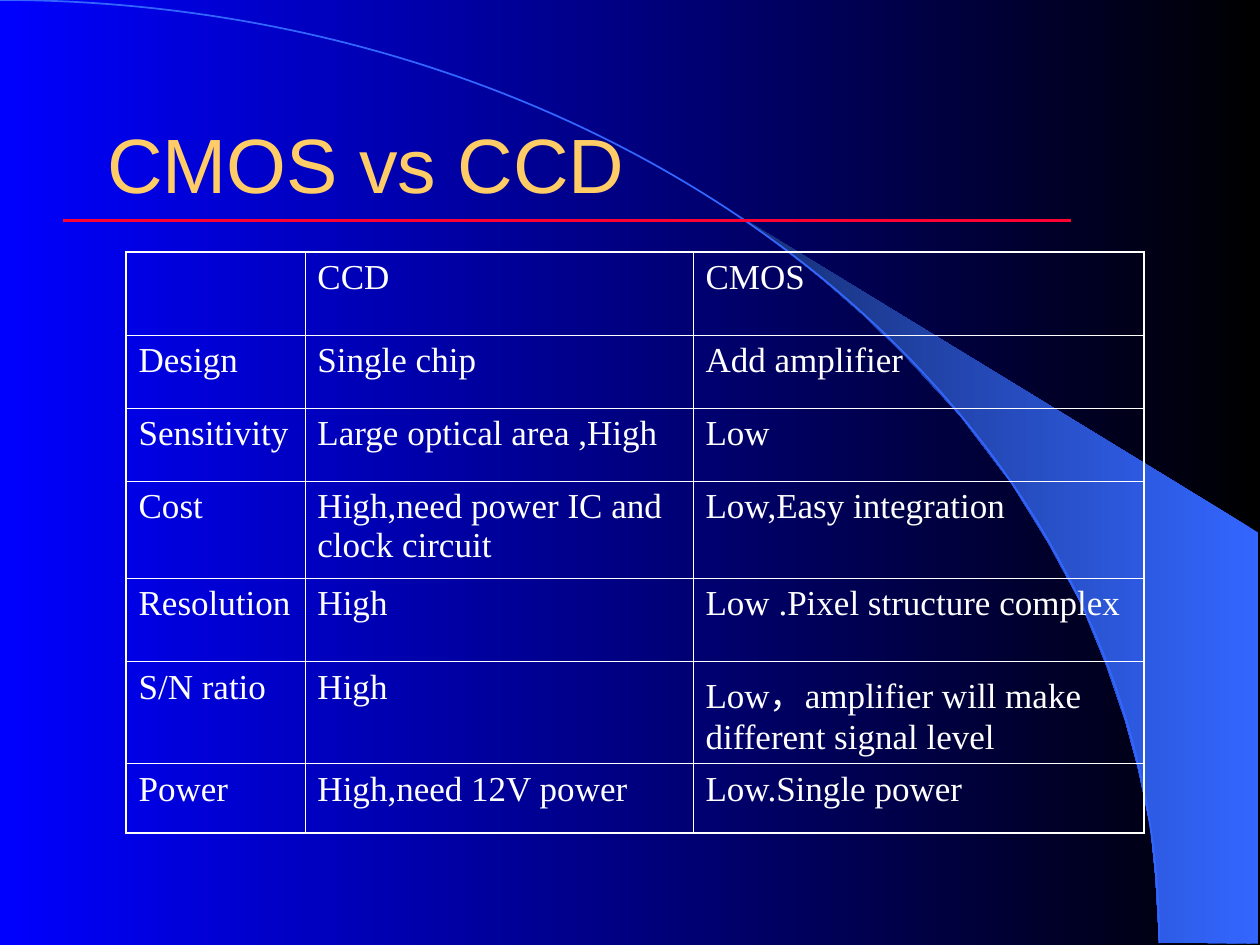
from dataclasses import dataclass

from lxml import etree
from pptx import Presentation
from pptx.dml.color import RGBColor
from pptx.enum import shapes, text
from pptx.oxml import ns
from pptx.util import Inches, Pt


@dataclass(frozen=True)
class Theme:
    title: str = "FFCC66"
    body: str = "FFFFFF"
    rule: str = "FF0033"
    arc: str = "3366FF"
    band_dark: str = "172F75"
    page_dark: str = "000000"
    page_light: str = "0000FF"
    title_size: int = 44
    body_size: int = 20
    title_font: str = "Arial"
    body_font: str = "Times New Roman"
    comma_font: str = "Noto Sans CJK SC"
    outer_line: float = 1.08
    inner_line: float = 0.45


theme = Theme()


def fill_gradient(fill, *colours):
    """Run a linear gradient from the right edge to the left."""
    fill.gradient()
    fill.gradient_angle = 180
    for stop, colour in zip(fill.gradient_stops, colours):
        stop.color.rgb = RGBColor.from_string(colour)


def add_border(cell, side, width):
    """Add one cell border; sides must come in the order L, R, T, B."""
    properties = cell._tc.get_or_add_tcPr()
    line = etree.SubElement(properties, ns.qn(f"a:ln{side}"), w=str(Pt(width)))
    solid = etree.SubElement(line, ns.qn("a:solidFill"))
    etree.SubElement(solid, ns.qn("a:srgbClr"), val=theme.body)


deck = Presentation()
deck.slide_width, deck.slide_height = Inches(10), Inches(7.5)
page = deck.slides.add_slide(deck.slide_layouts[5])
fill_gradient(page.background.fill, theme.page_dark, theme.page_light)

# Light band between the arc and its tangent
band_points = [
    (9.2, 7.48), (9.99, 7.49), (9.99, 4.23), (5.89, 1.73), (6.24, 1.99),
    (6.53, 2.22), (6.85, 2.5), (7.16, 2.8), (7.62, 3.3), (8.03, 3.84),
    (8.32, 4.31), (8.58, 4.79), (8.78, 5.28), (8.93, 5.72), (9.03, 6.09),
    (9.13, 6.56), (9.17, 6.96),
]
corners = [(Inches(x), Inches(y)) for x, y in band_points]
builder = page.shapes.build_freeform(*corners[0])
builder.add_line_segments(corners[1:], close=True)
band = builder.convert_to_shape()
band.shadow.inherit = False
band.line.fill.background()
fill_gradient(band.fill, theme.arc, theme.band_dark)

arc = page.shapes.add_shape(
    shapes.MSO_SHAPE.ARC, Inches(-9.2), Inches(0), Inches(18.4), Inches(14.97))
arc.shadow.inherit = False
arc.fill.background()
arc.line.color.rgb = RGBColor.from_string(theme.arc)
arc.line.width = Pt(1)

# Title and rule
title = page.shapes.title
title.left, title.top = Inches(0.75), Inches(0.67)
title.width, title.height = Inches(8.5), Inches(1.25)
title.text_frame.text = "CMOS vs CCD"
title.text_frame.vertical_anchor = text.MSO_ANCHOR.MIDDLE
para = title.text_frame.paragraphs[0]
para.alignment = text.PP_ALIGN.LEFT
para.font.name = theme.title_font
para.font.size = Pt(theme.title_size)
para.font.color.rgb = RGBColor.from_string(theme.title)

rule = page.shapes.add_connector(
    shapes.MSO_CONNECTOR.STRAIGHT,
    Inches(0.5), Inches(1.75), Inches(8.5), Inches(1.75))
rule.line.color.rgb = RGBColor.from_string(theme.rule)
rule.line.width = Pt(2.25)
etree.SubElement(rule._element.spPr, ns.qn("a:effectLst"))

# Comparison table
comparison = [
    ("", "CCD", "CMOS"),
    ("Design", "Single chip", "Add amplifier"),
    ("Sensitivity", "Large optical area ,High", "Low"),
    ("Cost", "High,need power IC and clock circuit", "Low,Easy integration"),
    ("Resolution", "High", "Low .Pixel structure complex"),
    ("S/N ratio", "High", "Low，amplifier will make different signal level"),
    ("Power", "High,need 12V power", "Low.Single power"),
]
column_widths = [1.42, 3.08, 3.58]
row_heights = [0.66, 0.58, 0.58, 0.77, 0.66, 0.77, 0.55]
last_row, last_column = len(row_heights) - 1, len(column_widths) - 1

table = page.shapes.add_table(
    len(row_heights), len(column_widths), Inches(1), Inches(2),
    Inches(sum(column_widths)), Inches(sum(row_heights))).table
table.first_row = table.horz_banding = False
for column, width in zip(table.columns, column_widths):
    column.width = Inches(width)
for row, height in zip(table.rows, row_heights):
    row.height = Inches(height)

for r, entries in enumerate(comparison):
    for c, entry in enumerate(entries):
        cell = table.cell(r, c)
        outer_sides = {"L": c == 0, "R": c == last_column,
                       "T": r == 0, "B": r == last_row}
        for side, is_outer in outer_sides.items():
            add_border(cell, side, theme.outer_line if is_outer else theme.inner_line)
        cell.fill.background()
        para = cell.text_frame.paragraphs[0]
        para.font.name = theme.body_font
        para.font.size = Pt(theme.body_size)
        para.font.color.rgb = RGBColor.from_string(theme.body)
        before, comma, after = entry.partition("，")
        for part in filter(None, (before, comma, after)):
            span = para.add_run()
            span.text = part
            if part == comma:
                span.font.name = theme.comma_font
                etree.SubElement(span.font._element, ns.qn("a:ea"),
                                 typeface=theme.comma_font)

deck.save("out.pptx")
